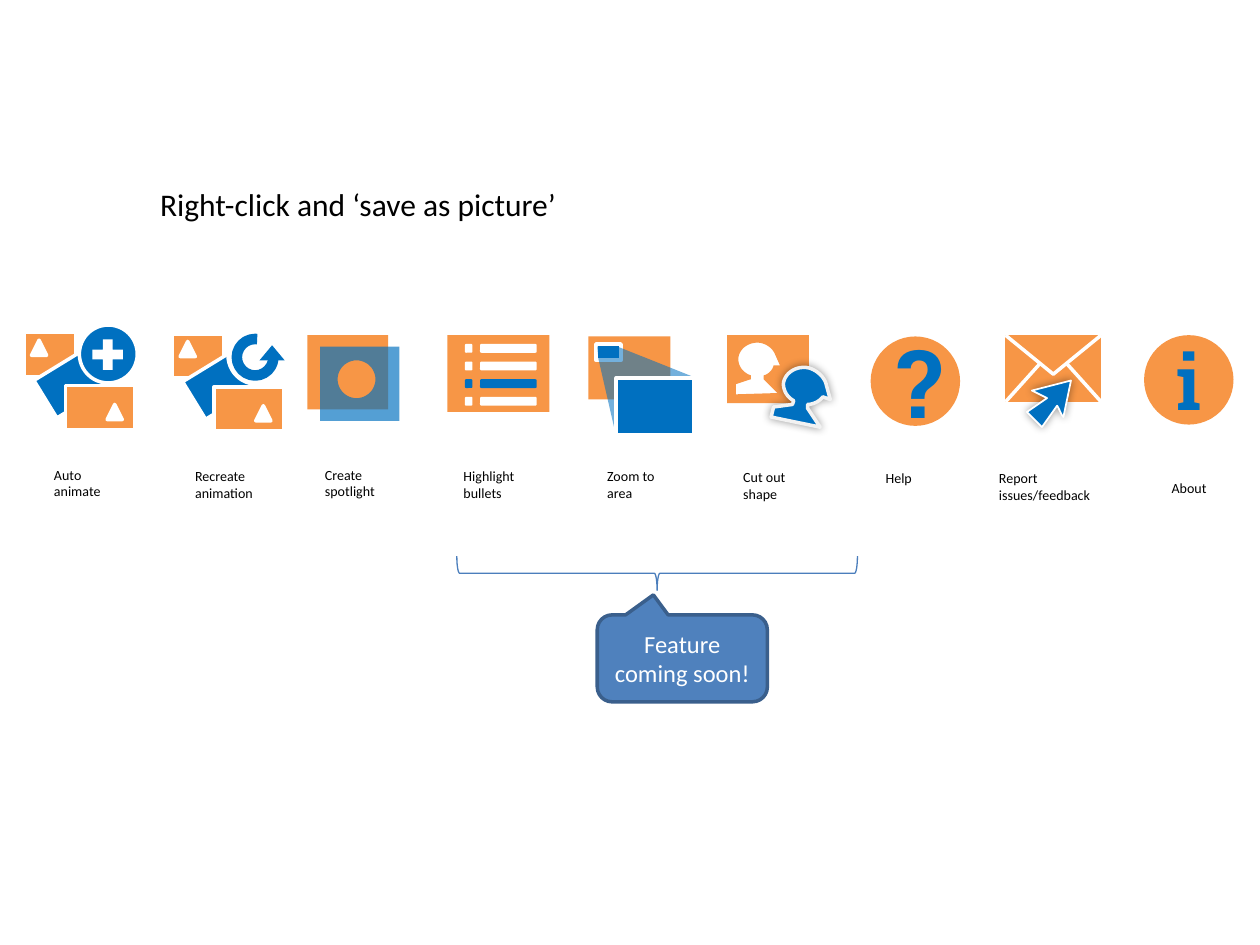
from dataclasses import dataclass
from math import cos, pi, sin

from lxml.etree import SubElement
from pptx import Presentation
from pptx.dml.color import RGBColor
from pptx.enum.shapes import MSO_CONNECTOR, MSO_SHAPE
from pptx.enum.text import MSO_ANCHOR, MSO_AUTO_SIZE, PP_ALIGN
from pptx.oxml.ns import qn
from pptx.util import Inches, Pt


@dataclass(frozen=True)
class Theme:
    orange: str = "F79646"
    blue: str = "0070C0"
    white: str = "FFFFFF"
    offwhite: str = "F2F2F2"
    black: str = "000000"
    callout: str = "4F81BD"
    callout_edge: str = "3A5F8C"
    brace: str = "4B7EBC"
    body: str = "Calibri"
    glyph: str = "Roboto Slab"
    title_size: int = 18
    callout_size: int = 14
    label_size: int = 8


T = Theme()
WIDTH, HEIGHT = Inches(10), Inches(7.5)
CELL = WIDTH // 10

LABELS = [
    ("Auto animate", 0.33, 3.65, 0.62),
    ("Recreate animation", 1.45, 3.66, 0.75),
    ("Create spotlight", 2.48, 3.65, 0.75),
    ("Highlight bullets", 3.58, 3.66, 0.75),
    ("Zoom to area", 4.72, 3.66, 0.75),
    ("Cut out shape", 5.8, 3.67, 0.75),
    ("Help", 6.93, 3.68, 0.75),
    ("Report issues/feedback", 7.83, 3.68, 0.97),
    ("About", 9.2, 3.76, 0.5),
]


def grid(*cells):
    return [round(c * CELL) for c in cells]


def rgb(color):
    return RGBColor.from_string(color)


def paint(sp, fill=None, line=None, weight=2, alpha=None, glow=False):
    sp.shadow.inherit = False
    if fill:
        sp.fill.solid()
        sp.fill.fore_color.rgb = rgb(fill)
    else:
        sp.fill.background()
    if line:
        sp.line.color.rgb = rgb(line)
        sp.line.width = Pt(weight)
    else:
        sp.line.fill.background()
    props = sp._element.spPr
    if alpha:
        color = props.find(qn("a:solidFill"))[0]
        SubElement(color, qn("a:alpha"), val=str(alpha * 1000))
    if glow:
        effects = props.find(qn("a:effectLst"))
        shadow = SubElement(effects, qn("a:outerShdw"), blurRad=str(Pt(5)), dist="0")
        color = SubElement(shadow, qn("a:srgbClr"), val=T.black)
        SubElement(color, qn("a:alpha"), val="40000")
    return sp


def shape(parent, kind, box, fill=None, line=None, weight=2, rotation=0):
    sp = parent.shapes.add_shape(kind, *grid(*box))
    sp.rotation = rotation
    return paint(sp, fill, line, weight)


def rect(parent, box, fill, line=None, rotation=0):
    return shape(parent, MSO_SHAPE.RECTANGLE, box, fill, line, rotation=rotation)


def bezier(start, controls, steps=12):
    pts = [start, *zip(controls[::2], controls[1::2])]
    for i in range(1, steps + 1):
        t = i / steps
        weights = ((1 - t) ** 3, 3 * t * (1 - t) ** 2, 3 * t * t * (1 - t), t ** 3)
        yield tuple(sum(w * p[axis] for w, p in zip(weights, pts)) for axis in (0, 1))


def flatten(contour):
    points = [contour[0]]
    for step in contour[1:]:
        points.extend(bezier(points[-1], step) if len(step) == 6 else [step])
    return [tuple(grid(*p)) for p in points]


def outline(parent, *contours, close=True, **style):
    first, *others = [flatten(c) for c in contours]
    builder = parent.shapes.build_freeform(*first[0], scale=1.0)
    builder.add_line_segments(first[1:], close=close)
    for points in others:
        builder.move_to(*points[0])
        builder.add_line_segments(points[1:], close=close)
    return paint(builder.convert_to_shape(), **style)


def box_points(left, top, right, bottom):
    return [(left, top), (right, top), (right, bottom), (left, bottom)]


def write(sp, text, size, color, font=T.body, align=PP_ALIGN.LEFT, anchor=MSO_ANCHOR.TOP, bold=False):
    tf = sp.text_frame
    tf.word_wrap = True
    tf.auto_size = MSO_AUTO_SIZE.NONE
    tf.vertical_anchor = anchor
    tf.text = text
    p = tf.paragraphs[0]
    p.alignment = align
    p.font.size, p.font.name, p.font.bold = Pt(size), font, bold
    p.font.color.rgb = rgb(color)


def slide_stack(g, x, y):
    rect(g, (x, y, 0.41, 0.35), T.orange, T.white)
    rect(g, (x + 0.13, y + 0.21, 0.55, 0.35), T.blue, T.white, 328.5)
    rect(g, (x + 0.33, y + 0.42, 0.55, 0.35), T.orange, T.white)
    for dx, dy in ((0.06, 0.06), (0.66, 0.57)):
        shape(g, MSO_SHAPE.ISOSCELES_TRIANGLE, (x + dx, y + dy, 0.12, 0.12), T.white, T.white)


def badge(g, x, y, fill):
    shape(g, MSO_SHAPE.FLOWCHART_CONNECTOR, (x + 0.44, y - 0.06, 0.46, 0.46), fill, T.white)


def auto_animate(g, x=0.19, y=2.64):
    slide_stack(g, x, y)
    badge(g, x, y, T.blue)
    shape(g, MSO_SHAPE.MATH_PLUS, (x + 0.5, y + 0.01, 0.33, 0.33), T.white)


def recreate_animation(g, x=1.37, y=2.65):
    slide_stack(g, x, y)
    badge(g, x, y, T.white)
    arc = shape(g, MSO_SHAPE.ARC, (x + 0.51, y + 0.04, 0.29, 0.29), line=T.blue, weight=6)
    arc.adjustments[0], arc.adjustments[1] = 3.723, 165.827
    shape(g, MSO_SHAPE.ISOSCELES_TRIANGLE, (x + 0.69, y + 0.09, 0.2, 0.12), T.blue)


def spotlight(g):
    rect(g, (2.44, 2.66, 0.64, 0.59), T.orange)
    hole = [(2.83 + 0.15 * cos(i * pi / 24), 3.01 - 0.15 * sin(i * pi / 24)) for i in range(48)]
    outline(g, hole, box_points(2.54, 2.75, 3.17, 3.34), fill=T.blue, alpha=67)


def bullets(g):
    rect(g, (3.55, 2.66, 0.81, 0.61), T.orange)
    for row, color in enumerate((T.white, T.white, T.blue, T.white)):
        for left, width in ((3.81, 0.45), (3.69, 0.06)):
            shape(g, MSO_SHAPE.ROUNDED_RECTANGLE, (left, 2.73 + 0.14 * row, width, 0.07), color)


def zoom(g):
    rect(g, (4.67, 2.67, 0.65, 0.5), T.orange)
    rect(g, (4.73, 2.73, 0.2, 0.13), T.blue, T.white)
    outline(g, [(4.75, 2.85), (4.89, 3.46), (5.5, 3.46), (5.5, 2.99), (4.9, 2.75), (4.74, 2.75)],
            fill=T.blue, alpha=55)
    rect(g, (4.89, 3, 0.62, 0.45), T.blue, T.white)


def cut_out(g):
    head = [(6.01, 2.72), (5.93, 2.72, 5.86, 2.78, 5.86, 2.85), (5.86, 2.91, 5.9, 2.96, 5.96, 2.98),
            (5.96, 3.01), (5.84, 3.05), (5.84, 3.13), (6.17, 3.12), (6.06, 3.01), (6.06, 2.98),
            (6.1, 2.97, 6.13, 2.94, 6.14, 2.9), (6.19, 2.9), (6.15, 2.81),
            (6.13, 2.76, 6.07, 2.72, 6.01, 2.72)]
    piece = [(6.42, 2.92), (6.49, 2.94, 6.55, 3, 6.56, 3.06), (6.59, 3.17), (6.53, 3.15),
             (6.51, 3.18, 6.46, 3.21, 6.41, 3.21), (6.41, 3.24), (6.51, 3.39), (6.12, 3.31),
             (6.14, 3.23), (6.29, 3.21), (6.3, 3.18), (6.24, 3.15, 6.21, 3.08, 6.22, 3.03),
             (6.24, 2.95, 6.33, 2.9, 6.42, 2.92)]
    outline(g, head, box_points(5.77, 2.66, 6.42, 3.2), fill=T.orange)
    outline(g, piece, fill=T.blue, line=T.offwhite, glow=True)


def glyph_disc(g, text, left, top, size):
    disc = shape(g, MSO_SHAPE.FLOWCHART_CONNECTOR, (left, top, 0.71, 0.71), T.orange)
    write(disc, text, size, T.blue, T.glyph, PP_ALIGN.CENTER, MSO_ANCHOR.MIDDLE, True)


def help_disc(g):
    glyph_disc(g, "?", 6.91, 2.67, 54)


def about_disc(g):
    glyph_disc(g, "i", 9.08, 2.66, 44)


def envelope(g):
    shape(g, MSO_SHAPE.FLOWCHART_PROCESS, (7.98, 2.66, 0.76, 0.53), T.orange)
    outline(g, [(7.98, 2.66), (8.36, 2.97), (8.74, 2.66)], close=False, fill=T.orange, line=T.white)
    for corner, inner in ((7.98, 8.25), (8.74, 8.47)):
        fold = g.shapes.add_connector(MSO_CONNECTOR.STRAIGHT, *grid(corner, 3.19, inner, 2.89))
        fold.line.color.rgb = rgb(T.white)
        fold.line.width = Pt(2)
        SubElement(fold._element.spPr, qn("a:effectLst"))
    outline(g, [(8.15, 3.27), (8.31, 3.16), (8.19, 3.1), (8.5, 3.02), (8.44, 3.31),
                (8.42, 3.29, 8.41, 3.25, 8.39, 3.22), (8.27, 3.39)],
            fill=T.blue, line=T.white, weight=1, glow=True)


def coming_soon(s):
    shape(s, MSO_SHAPE.RIGHT_BRACE, (5.08, 2.96, 0.27, 3.18), line=T.brace, weight=0.75, rotation=90)
    sp = shape(s, MSO_SHAPE.ROUNDED_RECTANGULAR_CALLOUT, (4.74, 4.88, 1.35, 0.69), T.callout, T.callout_edge)
    for i, value in enumerate((-0.17, -0.73, 0.17)):
        sp.adjustments[i] = value
    write(sp, "Feature coming soon!", T.callout_size, T.white, align=PP_ALIGN.CENTER, anchor=MSO_ANCHOR.MIDDLE)


def main():
    prs = Presentation()
    prs.slide_width, prs.slide_height = WIDTH, HEIGHT
    s = prs.slides.add_slide(prs.slide_layouts[5])
    title = s.shapes.title
    title.left, title.top, title.width, title.height = grid(1.17, 1.42, 3.83, 0.4)
    write(title, "Right-click and ‘save as picture’", T.title_size, T.black)
    for draw in (auto_animate, recreate_animation, spotlight, bullets, zoom,
                 cut_out, help_disc, envelope, about_disc):
        draw(s.shapes.add_group_shape())
    for text, left, top, width in LABELS:
        write(s.shapes.add_textbox(*grid(left, top, width, 0.37)), text, T.label_size, T.black)
    coming_soon(s)
    prs.save("out.pptx")


if __name__ == "__main__":
    main()
